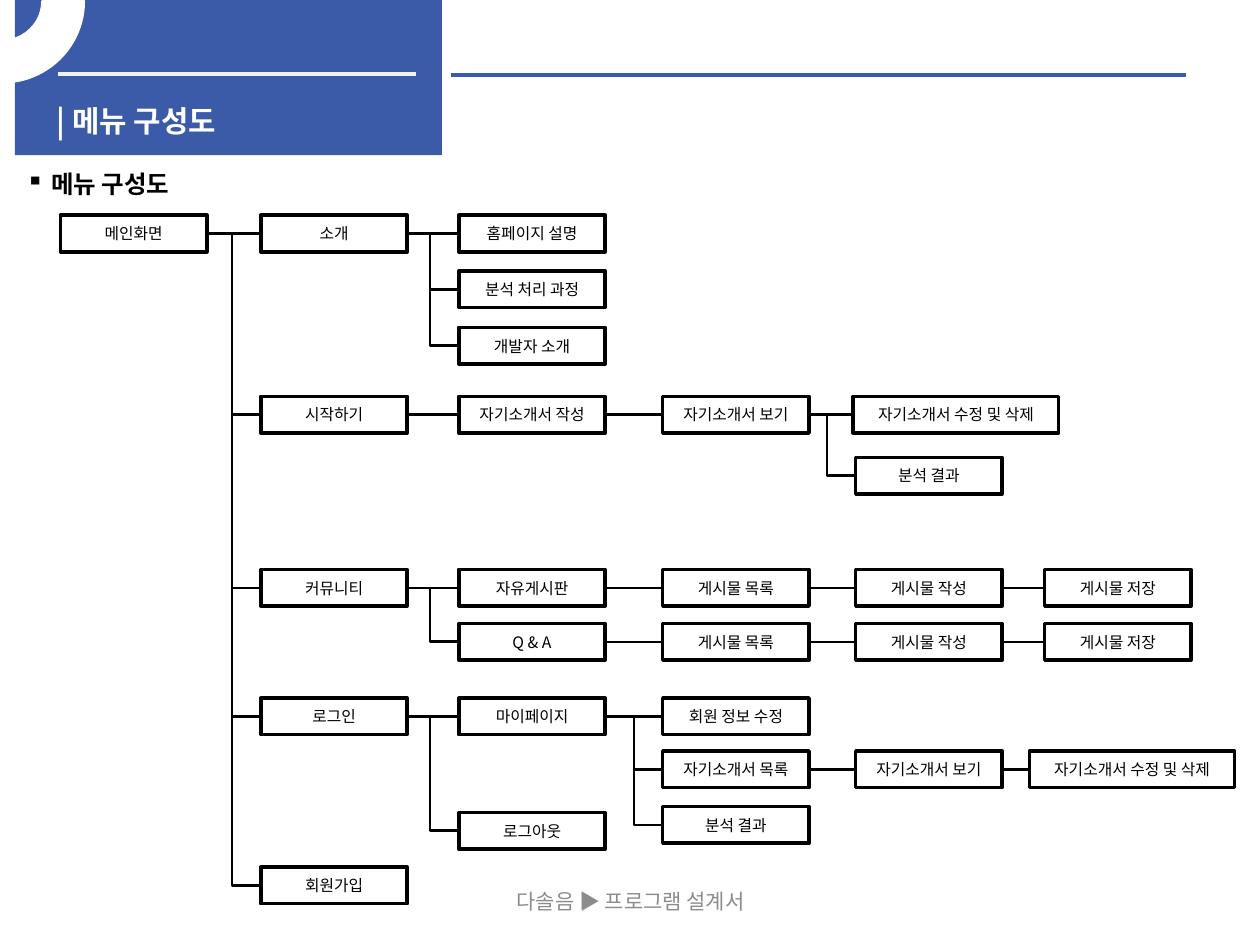
from lxml.etree import SubElement
from pptx import Presentation
from pptx.dml.color import RGBColor
from pptx.enum.shapes import MSO_CONNECTOR, MSO_SHAPE
from pptx.enum.text import MSO_ANCHOR, PP_ALIGN
from pptx.oxml.ns import qn
from pptx.util import Cm, Pt

COLORS = {
    "blue": "3B5AA8",
    "white": "FFFFFF",
    "pale": "F2F2F2",
    "gray": "8C8C8C",
    "black": "000000",
}
FONT = "Noto Sans CJK KR"
COLUMNS = [1.22, 5.26, 9.25, 13.36, 17.25, 21.06]
BOX_WIDTH, BOX_HEIGHT = 2.95, 0.74
WIDE_LABEL, WIDE_WIDTH = "자기소개서 수정 및 삭제", 4.14
WIDE_LEFTS = {4: 17.2, 5: 20.75}
TRUNK_GAP = 0.58

MENU_ROWS = [
    (4.34, 0, ["메인화면", "소개", "홈페이지 설명"]),
    (5.46, 2, ["분석 처리 과정"]),
    (6.6, 2, ["개발자 소개"]),
    (7.99, 1, ["시작하기", "자기소개서 작성", "자기소개서 보기", WIDE_LABEL]),
    (9.22, 4, ["분석 결과"]),
    (11.48, 1, ["커뮤니티", "자유게시판", "게시물 목록", "게시물 작성", "게시물 저장"]),
    (12.57, 2, ["Q & A", "게시물 목록", "게시물 작성", "게시물 저장"]),
    (14.07, 1, ["로그인", "마이페이지", "회원 정보 수정"]),
    (15.14, 3, ["자기소개서 목록", "자기소개서 보기", WIDE_LABEL]),
    (16.26, 3, ["분석 결과"]),
    (16.38, 2, ["로그아웃"]),
    (17.48, 1, ["회원가입"]),
]
BRANCHES = [
    (1, 4.34, [7.99, 11.48, 14.07, 17.48]),
    (2, 4.34, [5.46, 6.6]),
    (4, 7.99, [9.22]),
    (2, 11.48, [12.57]),
    (2, 14.07, [16.38]),
    (3, 14.07, [15.14, 16.26]),
]

deck = Presentation()
deck.slide_width, deck.slide_height = Cm(25.4), Cm(19.05)
page = deck.slides.add_slide(deck.slide_layouts[6])


def add_line(x1, y1, x2, y2, color="black", weight=1.5, kind=MSO_CONNECTOR.STRAIGHT):
    line = page.shapes.add_connector(kind, Cm(x1), Cm(y1), Cm(x2), Cm(y2))
    line.line.color.rgb = RGBColor.from_string(COLORS[color])
    line.line.width = Pt(weight)
    SubElement(line._element.spPr, qn("a:effectLst"))
    return line


def write_text(box, text, size, color, bold=False, align=PP_ALIGN.LEFT, font=FONT):
    box.text_frame.word_wrap = True
    box.text_frame.vertical_anchor = MSO_ANCHOR.MIDDLE
    para = box.text_frame.paragraphs[0]
    para.text = text
    para.alignment = align
    para.font.name = font
    para.font.size = Pt(size)
    para.font.bold = bold
    para.font.color.rgb = RGBColor.from_string(COLORS[color])


banner = page.shapes.add_shape(MSO_SHAPE.RECTANGLE, Cm(0.3), 0, Cm(8.61), Cm(3.13))
banner.shadow.inherit = False
banner.fill.solid()
banner.fill.fore_color.rgb = RGBColor.from_string(COLORS["blue"])
banner.line.fill.background()
add_line(1.17, 1.5, 8.38, 1.5, "pale", 2.25)
add_line(9.09, 1.52, 23.9, 1.52, "blue", 2.25)

title = page.shapes.add_textbox(Cm(0.89), Cm(1.93), Cm(8.2), Cm(0.99))
write_text(title, "| 메뉴 구성도", 17, "white", bold=True)

ring = page.shapes.add_shape(MSO_SHAPE.BLOCK_ARC, Cm(-1.6), Cm(-1.6), Cm(3.28), Cm(3.25))
ring.shadow.inherit = False
ring.adjustments[0] = 96.95
ring.adjustments[1] = 0
ring.adjustments[2] = 0.25
ring._element.spPr.xfrm.set("flipV", "1")
ring.fill.solid()
ring.fill.fore_color.rgb = RGBColor.from_string(COLORS["white"])
ring.line.color.rgb = RGBColor.from_string(COLORS["white"])
ring.line.width = Pt(2)

footer = page.shapes.add_textbox(Cm(8.69), Cm(17.65), Cm(8.05), Cm(1.02))
write_text(footer, "다솔음 ▶ 프로그램 설계서", 12, "gray", align=PP_ALIGN.CENTER)

heading = page.shapes.add_textbox(Cm(0.28), Cm(3.28), Cm(25), Cm(0.86))
properties = heading.text_frame.paragraphs[0]._p.get_or_add_pPr()
properties.set("marL", str(Cm(0.5)))
properties.set("indent", str(Cm(-0.5)))
SubElement(properties, qn("a:buChar")).set("char", "▪")
write_text(heading, "메뉴 구성도", 14, "black", bold=True, font="Roboto")

for top, first_column, labels in MENU_ROWS:
    middle = top + BOX_HEIGHT / 2
    previous_right = None
    for column, label in enumerate(labels, first_column):
        wide = label == WIDE_LABEL
        left = WIDE_LEFTS[column] if wide else COLUMNS[column]
        width = WIDE_WIDTH if wide else BOX_WIDTH
        if previous_right is not None:
            add_line(previous_right, middle, left, middle)
        box = page.shapes.add_shape(
            MSO_SHAPE.RECTANGLE, Cm(left), Cm(top), Cm(width), Cm(BOX_HEIGHT)
        )
        box.shadow.inherit = False
        box.fill.solid()
        box.fill.fore_color.rgb = RGBColor.from_string(COLORS["white"])
        box.line.color.rgb = RGBColor.from_string(COLORS["black"])
        box.line.width = Pt(2)
        write_text(box, label, 9, "black", align=PP_ALIGN.CENTER)
        previous_right = left + width

for column, start_top, end_tops in BRANCHES:
    left = COLUMNS[column]
    trunk = left - TRUNK_GAP
    start, *stubs, end = [top + BOX_HEIGHT / 2 for top in (start_top, *end_tops)]
    elbow = add_line(left, end, trunk, start, kind=MSO_CONNECTOR.ELBOW)
    elbow._element.spPr.prstGeom.set("prst", "bentConnector2")
    for stub in stubs:
        add_line(trunk, stub, left, stub)

deck.save("out.pptx")
